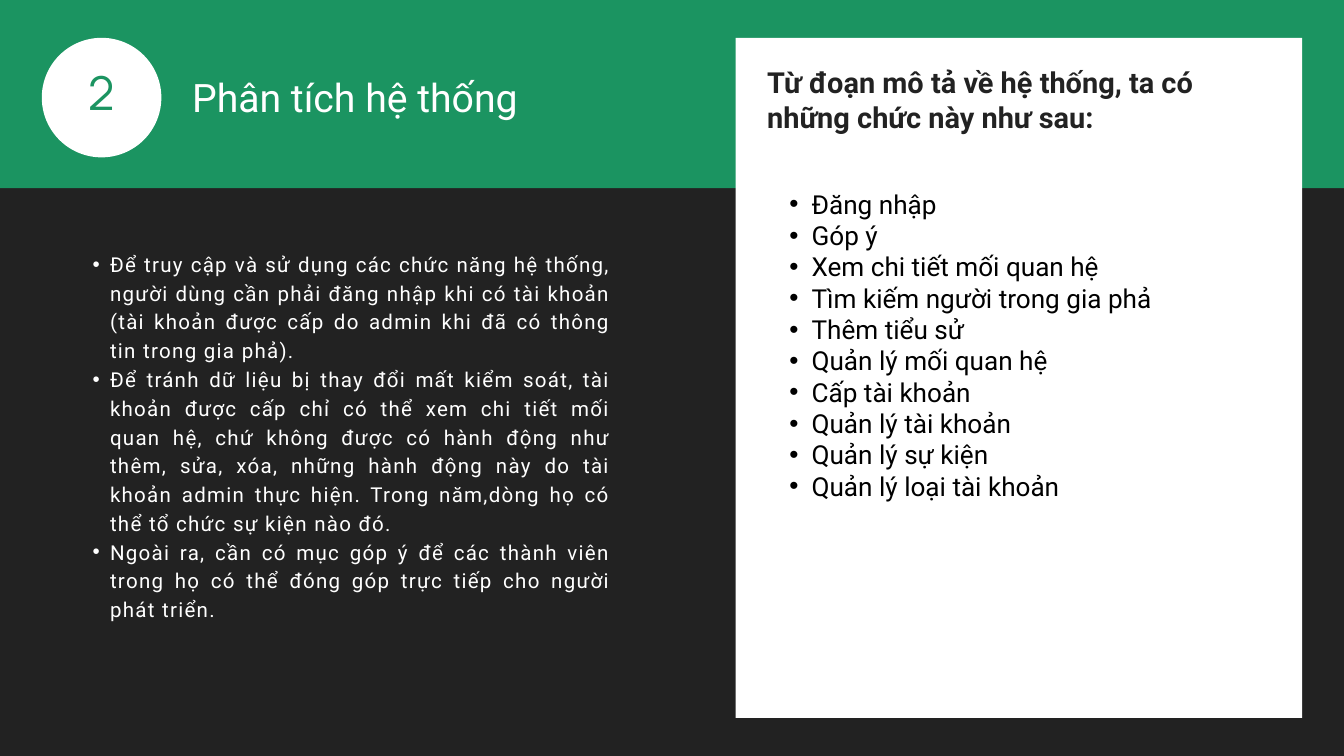
"""Build the system analysis slide with its function list."""
from lxml.etree import SubElement
from pptx import Presentation
from pptx.dml.color import RGBColor
from pptx.enum.shapes import MSO_SHAPE as SHAPE
from pptx.enum.text import MSO_ANCHOR as ANCHOR, PP_ALIGN as ALIGN
from pptx.oxml.ns import qn
from pptx.util import Cm, Pt

COLORS = {"green": "1B9461", "dark": "222222", "white": "FFFFFF", "black": "000000"}

REQUIREMENTS = [
    "Để truy cập và sử dụng các chức năng hệ thống, người dùng cần phải đăng nhập "
    "khi có tài khoản (tài khoản được cấp do admin khi đã có thông tin trong gia phả).",
    "Để tránh dữ liệu bị thay đổi mất kiểm soát, tài khoản được cấp chỉ có thể xem "
    "chi tiết mối quan hệ, chứ không được có hành động như thêm, sửa, xóa, những hành "
    "động này do tài khoản admin thực hiện. Trong năm,dòng họ có thể tổ chức sự kiện nào đó.",
    "Ngoài ra, cần có mục góp ý để các thành viên trong họ có thể đóng góp trực tiếp "
    "cho người phát triển.",
]
FUNCTIONS = [
    "Đăng nhập", "Góp ý", "Xem chi tiết mối quan hệ", "Tìm kiếm người trong gia phả",
    "Thêm tiểu sử", "Quản lý mối quan hệ", "Cấp tài khoản", "Quản lý tài khoản",
    "Quản lý sự kiện", "Quản lý loại tài khoản",
]


def add_block(s, kind, box, color):
    sp = s.shapes.add_shape(kind, *map(Cm, box))
    sp.shadow.inherit = False
    sp.fill.solid()
    sp.fill.fore_color.rgb = RGBColor.from_string(COLORS[color])
    sp.line.fill.background()


def add_text(s, box, lines, size, leading, color, font="Roboto", bold=False,
             align=ALIGN.LEFT, spacing=0, hang=0, inset=0, anchor=ANCHOR.TOP):
    tf = s.shapes.add_textbox(*map(Cm, box)).text_frame
    tf.word_wrap = True
    tf.vertical_anchor = anchor
    tf.margin_left = tf.margin_right = tf.margin_top = tf.margin_bottom = Cm(inset)
    tf.text = "\n".join(lines)
    for p in tf.paragraphs:
        p.alignment = align
        p.line_spacing = Pt(leading)
        if hang:
            p.level = 1
            pPr = p._p.get_or_add_pPr()
            pPr.set("marL", str(Cm(2 * hang)))
            pPr.set("indent", str(-Cm(hang)))
            SubElement(pPr, qn("a:buFont")).set("typeface", "Arial")
            SubElement(pPr, qn("a:buChar")).set("char", "•")
        for r in p.runs:
            r.font.name = font
            r.font.size = Pt(size)
            r.font.bold = bold
            r.font.color.rgb = RGBColor.from_string(COLORS[color])
            if spacing:
                r._r.get_or_add_rPr().set("spc", str(round(spacing * 100)))


prs = Presentation()
prs.slide_width, prs.slide_height = Cm(50.8), Cm(28.58)
s = prs.slides.add_slide(prs.slide_layouts[6])
s.background.fill.solid()
s.background.fill.fore_color.rgb = RGBColor.from_string(COLORS["dark"])

add_block(s, SHAPE.RECTANGLE, (0, 0, 50.8, 7.11), "green")
add_block(s, SHAPE.RECTANGLE, (27.81, 1.43, 21.41, 25.71), "white")
add_block(s, SHAPE.OVAL, (1.58, 1.43, 4.52, 4.52), "white")

add_text(s, (2, 1.07, 3.66, 4.47), ["2"], 50, 70, "green", font="Manrope",
         align=ALIGN.CENTER, spacing=3.2, inset=0.15, anchor=ANCHOR.MIDDLE)
add_text(s, (7.26, 2.79, 14.63, 1.78), ["Phân tích hệ thống"], 42, 50.4, "white")
add_text(s, (2.84, 9.37, 20.24, 14.05), REQUIREMENTS, 22, 30.8, "white",
         align=ALIGN.JUSTIFY, spacing=1.4, hang=0.66)
add_text(s, (29, 2.46, 18.92, 3.89),
         ["Từ đoạn mô tả về hệ thống, ta có những chức này như sau:"],
         31, 37.2, "dark", bold=True)
add_text(s, (29, 7.11, 15.01, 11.63), FUNCTIONS, 28, 33.6, "black", hang=0.84)

prs.save("out.pptx")
